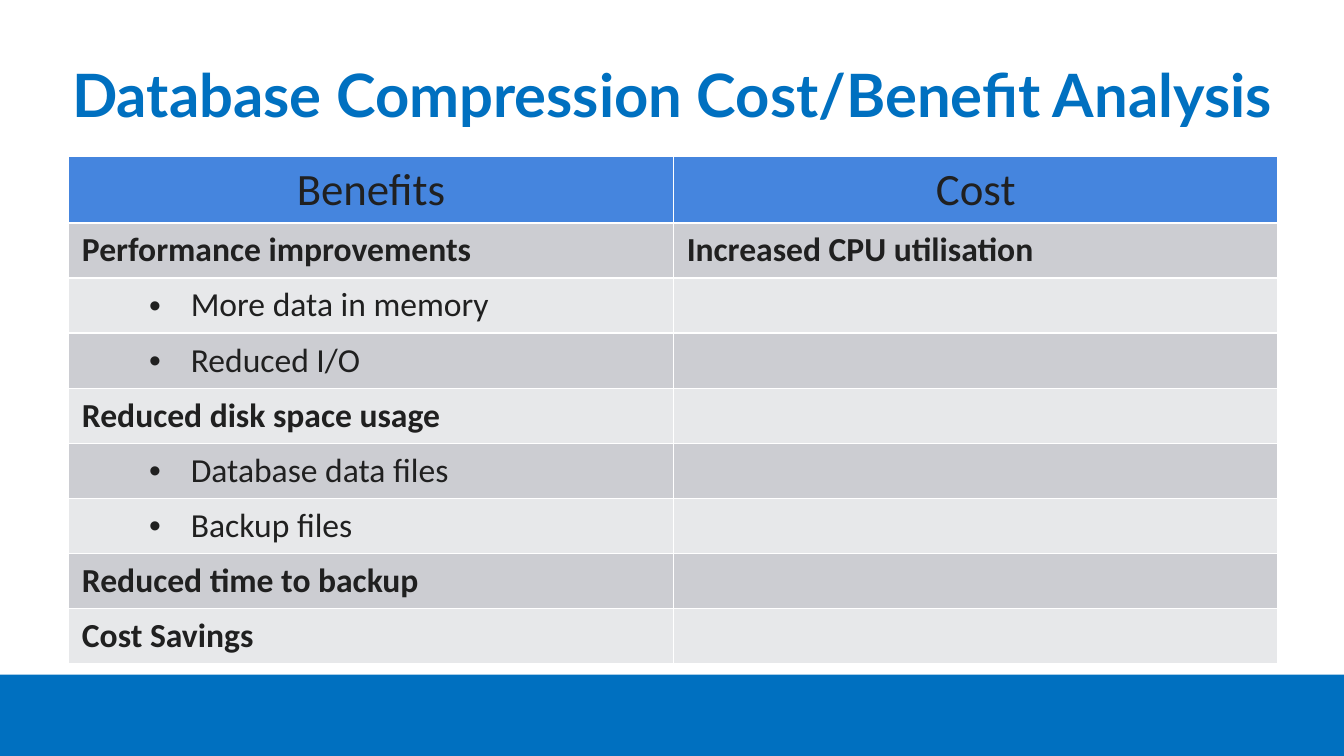
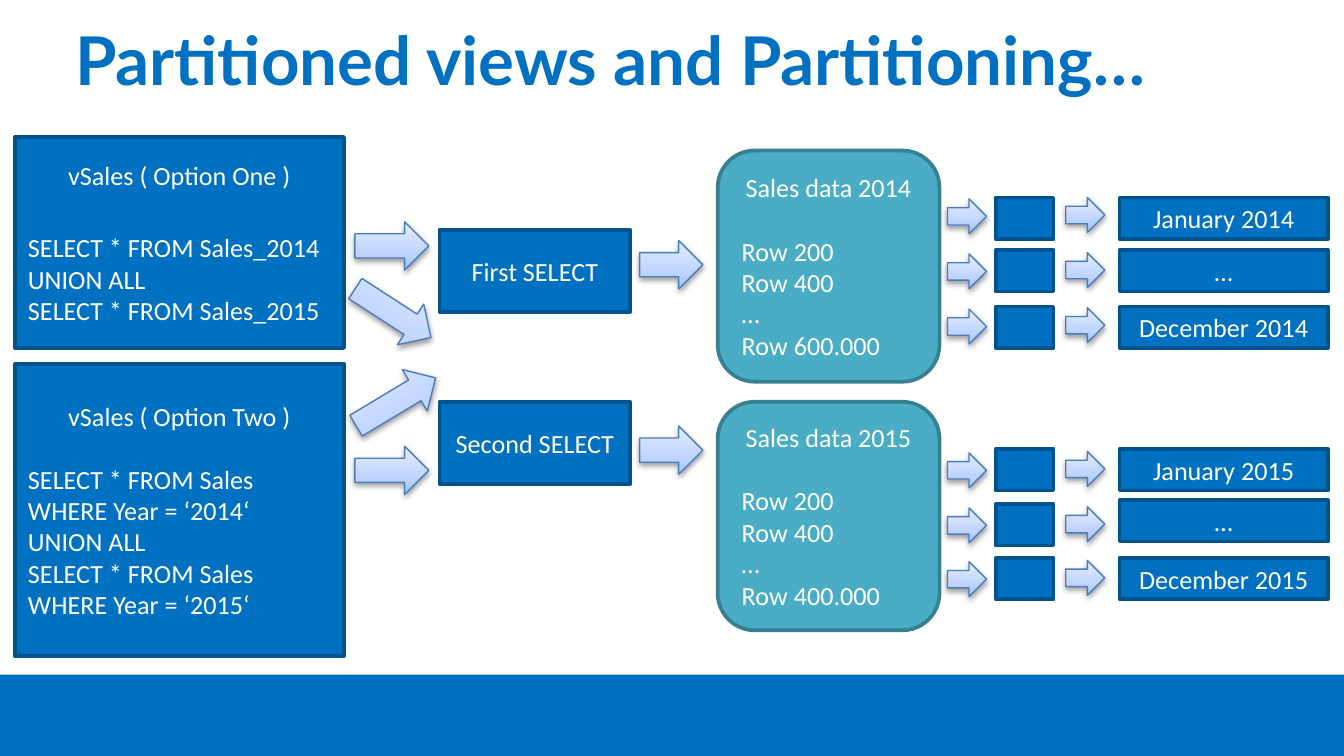
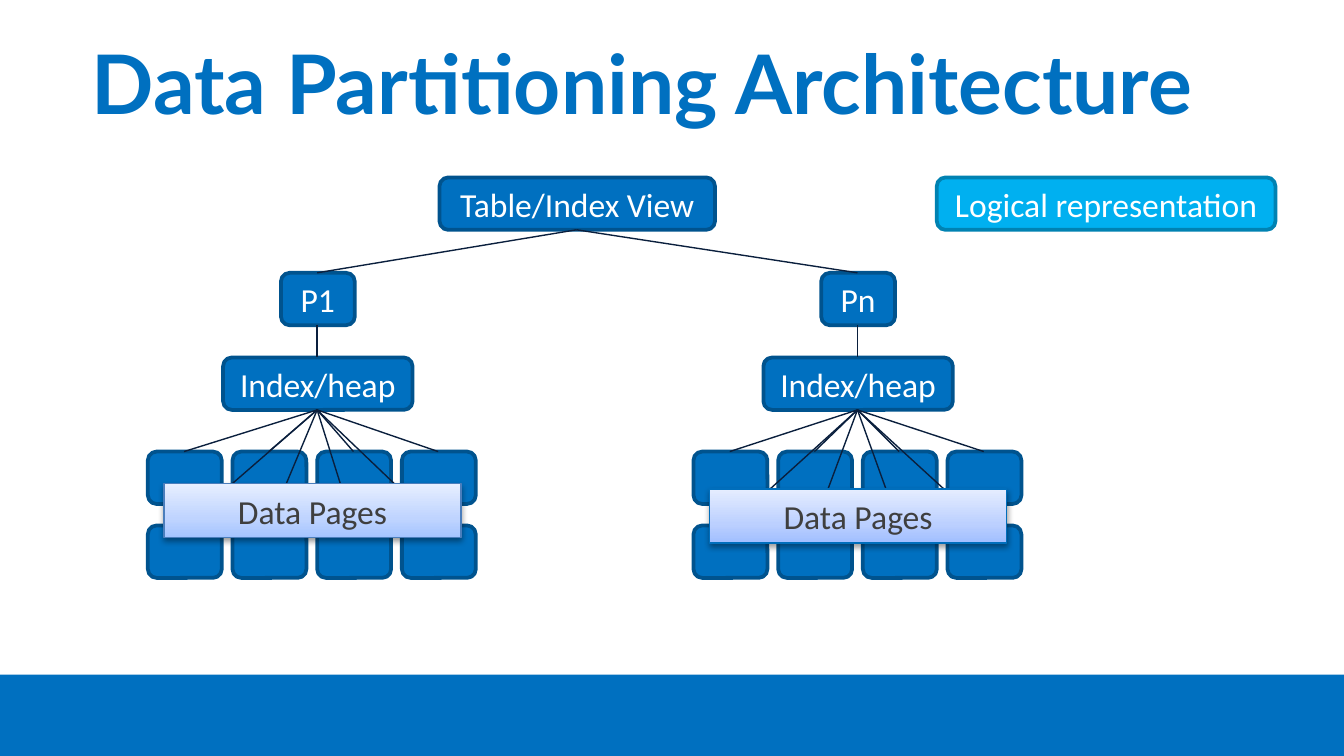
from dataclasses import dataclass
from typing import NamedTuple

from pptx import Presentation, util as u
from pptx.dml.color import RGBColor
from pptx.enum import shapes, text
from pptx.oxml import ns, parse_xml

EMU_PER_PX = 9144
PAGE_WIDTH = 1000
CENTER, LEFT = text.PP_ALIGN.CENTER, text.PP_ALIGN.LEFT
RECT = shapes.MSO_SHAPE.RECTANGLE
ROUND = shapes.MSO_SHAPE.ROUNDED_RECTANGLE
ARROW = shapes.MSO_SHAPE.RIGHT_ARROW


class Paint(NamedTuple):
    fill: str
    line: str


class Gloss(NamedTuple):
    stops: tuple[tuple[int, str], ...]
    line: str


@dataclass(frozen=True)
class Theme:
    title_font: str = "Lato"
    body_font: str = "Calibri"
    blue: str = "0070C0"
    white: str = "FFFFFF"
    ink: str = "202020"
    label_ink: str = "3F3F3F"
    branch: str = "0A1F3D"
    header_fill: str = "4585DE"
    row_fills: tuple[str, str] = ("CCCDD2", "E7E8EA")
    box: Paint = Paint("0070C0", "00538E")
    store: Paint = Paint("4BACC6", "377F92")
    legend: Paint = Paint("00B0F0", "0082B2")
    gloss: Gloss = Gloss(((0, "A4C4FF"), (35, "BFD4FF"), (100, "E6EEFF")), "4B7EBC")
    bright_gloss: Gloss = Gloss(((0, "A0BEFF"), (35, "BCD0FF"), (100, "E5EDFF")), "006EBC")
    small: int = 14
    body: int = 18
    header: int = 24
    box_line: float = 2
    thin_line: float = 0.75


THEME = Theme()


class Area(NamedTuple):
    left: int
    top: int
    width: int
    height: int


@dataclass(frozen=True)
class Box:
    area: Area
    lines: tuple[str, ...] = ()
    paint: Paint = THEME.box
    kind: int = RECT
    size: int = THEME.small
    heading_gap: int = 17


class Arrow(NamedTuple):
    area: Area
    rotation: float = 0


class MonthRow(NamedTuple):
    box_top: int
    label_top: int
    arrow_top: int
    label: str


class Benefit(NamedTuple):
    label: str
    cost: str = ""
    nested: bool = False


class Tree(NamedTuple):
    center: int
    name: str
    pages_left: int
    label_area: Area
    gloss: Gloss


BENEFITS = (
    Benefit("Performance improvements", "Increased CPU utilisation"),
    Benefit("More data in memory", nested=True),
    Benefit("Reduced I/O", nested=True),
    Benefit("Reduced disk space usage"),
    Benefit("Database data files", nested=True),
    Benefit("Backup files", nested=True),
    Benefit("Reduced time to backup"),
    Benefit("Cost Savings"),
)

FLOW_BOXES = (
    Box(Area(11, 102, 245, 157),
        ("vSales ( Option One )", "SELECT * FROM Sales_2014", "UNION ALL",
         "SELECT * FROM Sales_2015"), heading_gap=22),
    Box(Area(11, 271, 245, 217),
        ("vSales ( Option Two )", "SELECT * FROM Sales WHERE Year = ‘2014‘", "UNION ALL",
         "SELECT * FROM Sales", "WHERE Year = ‘2015‘")),
    Box(Area(327, 171, 142, 61), ("First SELECT",)),
    Box(Area(327, 299, 142, 61), ("Second SELECT",)),
    Box(Area(534, 112, 165, 172),
        ("Sales data 2014", "Row 200", "Row 400", "…", "Row 600.000"), THEME.store, ROUND),
    Box(Area(534, 299, 165, 170),
        ("Sales data 2015", "Row 200", "Row 400", "…", "Row 400.000"), THEME.store, ROUND),
)

FLOW_ARROWS = (
    Arrow(Area(264, 165, 55, 36)),
    Arrow(Area(259, 215, 67, 36), 32.9),
    Arrow(Area(260, 281, 69, 36), 329),
    Arrow(Area(264, 332, 55, 36)),
    Arrow(Area(476, 179, 47, 36)),
    Arrow(Area(476, 317, 47, 36)),
)

MONTH_ROWS = (
    MonthRow(147, 147, 148, "January 2014"),
    MonthRow(186, 186, 189, "…"),
    MonthRow(228, 228, 230, "December 2014"),
    MonthRow(334, 334, 337, "January 2015"),
    MonthRow(375, 372, 378, "…"),
    MonthRow(415, 415, 418, "December 2015"),
)

TREES = (
    Tree(236, "P1", 110, Area(122, 360, 221, 40), THEME.gloss),
    Tree(638, "Pn", 516, Area(528, 364, 221, 40), THEME.bright_gloss),
)


def px(length: int) -> u.Emu:
    return u.Emu(length * EMU_PER_PX)


def place(area: Area) -> tuple[u.Emu, ...]:
    return tuple(px(length) for length in area)


def rgb(value: str) -> RGBColor:
    return RGBColor.from_string(value)


def add_span(para, words: str, size: int, color: str,
             bold: bool = False, font: str = THEME.body_font) -> None:
    span = para.add_run()
    span.text = words
    span.font.name = font
    span.font.size = u.Pt(size)
    span.font.bold = bold
    span.font.color.rgb = rgb(color)


def write_lines(shape, lines: tuple[str, ...], size: int, color: str, heading_gap: int = 0) -> None:
    frame = shape.text_frame
    frame.word_wrap = len(lines) > 1
    frame.vertical_anchor = text.MSO_ANCHOR.MIDDLE
    for index, words in enumerate(lines):
        para = frame.add_paragraph() if index else frame.paragraphs[0]
        para.alignment = LEFT if index else CENTER
        if index == 0 and len(lines) > 1:
            para.space_after = u.Pt(heading_gap)
        add_span(para, words, size, color)


def add_box(page, box: Box) -> None:
    shape = page.shapes.add_shape(box.kind, *place(box.area))
    shape.fill.solid()
    shape.fill.fore_color.rgb = rgb(box.paint.fill)
    shape.line.color.rgb = rgb(box.paint.line)
    shape.line.width = u.Pt(THEME.box_line)
    shape.shadow.inherit = False
    write_lines(shape, box.lines, box.size, THEME.white, box.heading_gap)


def add_glossy(page, kind: int, area: Area, gloss: Gloss = THEME.gloss):
    shape = page.shapes.add_shape(kind, *place(area))
    shape.fill.background()
    shape.line.color.rgb = rgb(gloss.line)
    shape.line.width = u.Pt(THEME.thin_line)
    shape.shadow.inherit = False
    stops = "".join(
        f'<a:gs pos="{percent * 1000}"><a:srgbClr val="{color}"/></a:gs>'
        for percent, color in gloss.stops)
    gradient = parse_xml(
        f'<a:gradFill {ns.nsdecls("a")} rotWithShape="1"><a:gsLst>{stops}</a:gsLst>'
        '<a:lin ang="16200000" scaled="0"/></a:gradFill>')
    properties = shape.element.spPr
    properties.replace(properties.find(ns.qn("a:noFill")), gradient)
    properties.find(ns.qn("a:effectLst")).append(parse_xml(
        f'<a:outerShdw {ns.nsdecls("a")} blurRad="40000" dist="20000" dir="5400000" '
        'rotWithShape="0"><a:srgbClr val="000000"><a:alpha val="38000"/></a:srgbClr>'
        '</a:outerShdw>'))
    return shape


def add_arrow(page, arrow: Arrow) -> None:
    add_glossy(page, ARROW, arrow.area).rotation = arrow.rotation


def add_branch(page, start: tuple[int, int], end: tuple[int, int]) -> None:
    line = page.shapes.add_connector(
        shapes.MSO_CONNECTOR.STRAIGHT, *(px(value) for value in start + end))
    line.line.color.rgb = rgb(THEME.branch)
    line.line.width = u.Pt(THEME.thin_line)
    line.element.spPr.append(parse_xml(f'<a:effectLst {ns.nsdecls("a")}/>'))


def add_page(deck, title: str, area: Area, size: int):
    page = deck.slides.add_slide(deck.slide_layouts[6])
    band = page.shapes.add_shape(RECT, *place(Area(0, 502, PAGE_WIDTH, 61)))
    band.fill.solid()
    band.fill.fore_color.rgb = rgb(THEME.blue)
    band.line.fill.background()
    band.shadow.inherit = False
    frame = page.shapes.add_textbox(*place(area)).text_frame
    frame.word_wrap = True
    frame.vertical_anchor = text.MSO_ANCHOR.MIDDLE
    para = frame.paragraphs[0]
    para.alignment = CENTER
    add_span(para, title, size, THEME.blue, True, THEME.title_font)
    return page


def style_cell(cell, fill: str) -> None:
    properties = cell._tc.get_or_add_tcPr()
    for side in "LRTB":
        properties.append(parse_xml(
            f'<a:ln{side} {ns.nsdecls("a")} w="{u.Pt(1)}"><a:solidFill>'
            f'<a:srgbClr val="{THEME.white}"/></a:solidFill></a:ln{side}>'))
    cell.fill.solid()
    cell.fill.fore_color.rgb = rgb(fill)


def indent_bullet(para) -> None:
    para.level = 1
    properties = para._p.get_or_add_pPr()
    properties.set("marL", str(px(81)))
    properties.set("indent", str(px(-31)))
    properties.append(parse_xml(f'<a:buFont {ns.nsdecls("a")} typeface="Arial"/>'))
    properties.append(parse_xml(f'<a:buChar {ns.nsdecls("a")} char="•"/>'))


def build_benefits(deck) -> None:
    page = add_page(deck, "Database Compression Cost/Benefit Analysis",
                    Area(20, 23, 961, 94), 32)
    table = page.shapes.add_table(
        len(BENEFITS) + 1, 2, *place(Area(51, 116, 900, 369))).table
    table.horz_banding = False
    for column, words in enumerate(("Benefits", "Cost")):
        cell = table.cell(0, column)
        style_cell(cell, THEME.header_fill)
        para = cell.text_frame.paragraphs[0]
        para.alignment = CENTER
        add_span(para, words, THEME.header, THEME.ink)
    for index, benefit in enumerate(BENEFITS):
        for column, words in enumerate((benefit.label, benefit.cost)):
            cell = table.cell(index + 1, column)
            style_cell(cell, THEME.row_fills[index % 2])
            if not words:
                continue
            para = cell.text_frame.paragraphs[0]
            if benefit.nested:
                indent_bullet(para)
            add_span(para, words, THEME.body, THEME.ink, not benefit.nested)


def build_views(deck) -> None:
    page = add_page(deck, "Partitioned views and Partitioning…", Area(4, 6, 900, 75), 36)
    for box in FLOW_BOXES:
        add_box(page, box)
    for arrow in FLOW_ARROWS:
        add_arrow(page, arrow)
    for row in MONTH_ROWS:
        add_arrow(page, Arrow(Area(705, row.arrow_top, 29, 26)))
        add_box(page, Box(Area(741, row.box_top, 43, 31)))
        add_arrow(page, Arrow(Area(793, row.arrow_top - 1, 29, 26)))
        add_box(page, Box(Area(833, row.label_top, 155, 31), (row.label,)))


def add_node(page, area: Area, label: str = "", paint: Paint = THEME.box) -> None:
    add_box(page, Box(area, (label,) if label else (), paint, ROUND, THEME.body))


def add_tree(page, tree: Tree) -> None:
    node_width, node_height = 55, 39
    add_node(page, Area(tree.center - 27, 203, node_width, node_height), tree.name)
    add_branch(page, (429, 171), (tree.center, 203))
    add_node(page, Area(tree.center - 70, 266, 141, node_height), "Index/heap")
    add_branch(page, (tree.center, 242), (tree.center, 266))
    corners = [(tree.pages_left + 63 * column, 336 + 55 * row)
               for row in range(2) for column in range(4)]
    for left, top in corners:
        add_node(page, Area(left, top, node_width, node_height))
    for left, top in corners:
        add_branch(page, (tree.center, 305), (left + node_width // 2, top))
    label = add_glossy(page, RECT, tree.label_area, tree.gloss)
    write_lines(label, ("Data Pages",), THEME.body, THEME.label_ink)


def build_architecture(deck) -> None:
    page = add_page(deck, "Data Partitioning Architecture", Area(28, 14, 900, 94), 44)
    add_node(page, Area(327, 132, 205, 39), "Table/Index View")
    add_node(page, Area(697, 132, 252, 39), "Logical representation", THEME.legend)
    for tree in TREES:
        add_tree(page, tree)


def main() -> None:
    deck = Presentation()
    deck.slide_width = px(PAGE_WIDTH)
    deck.slide_height = u.Emu(deck.slide_width * 9 // 16)
    build_benefits(deck)
    build_views(deck)
    build_architecture(deck)
    deck.save("out.pptx")


if __name__ == "__main__":
    main()
